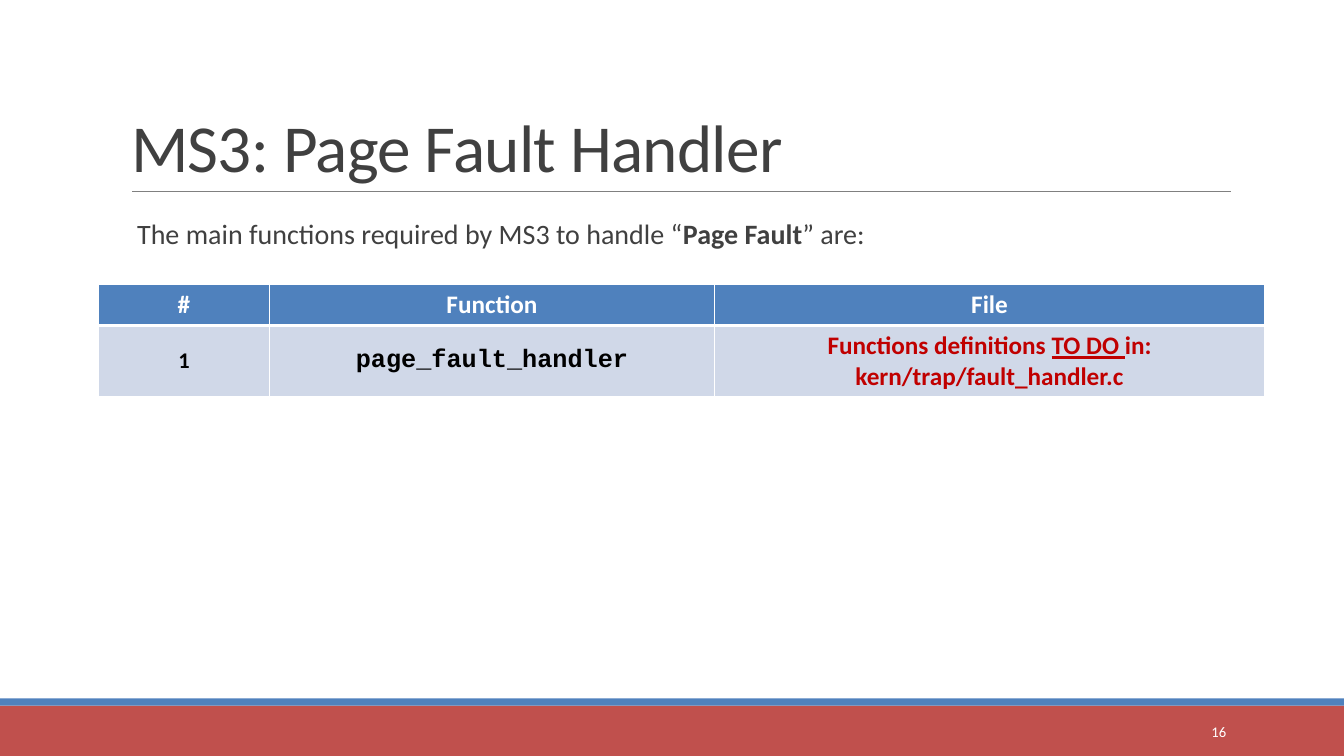
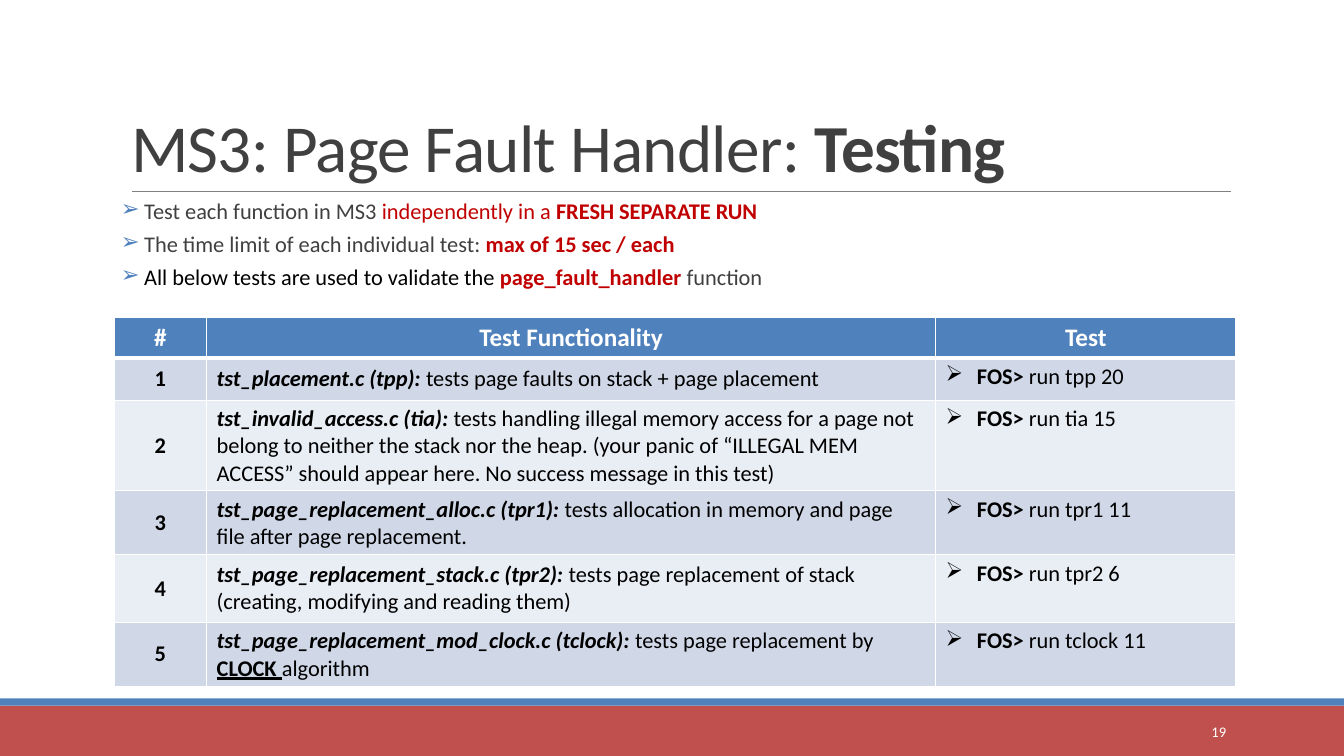
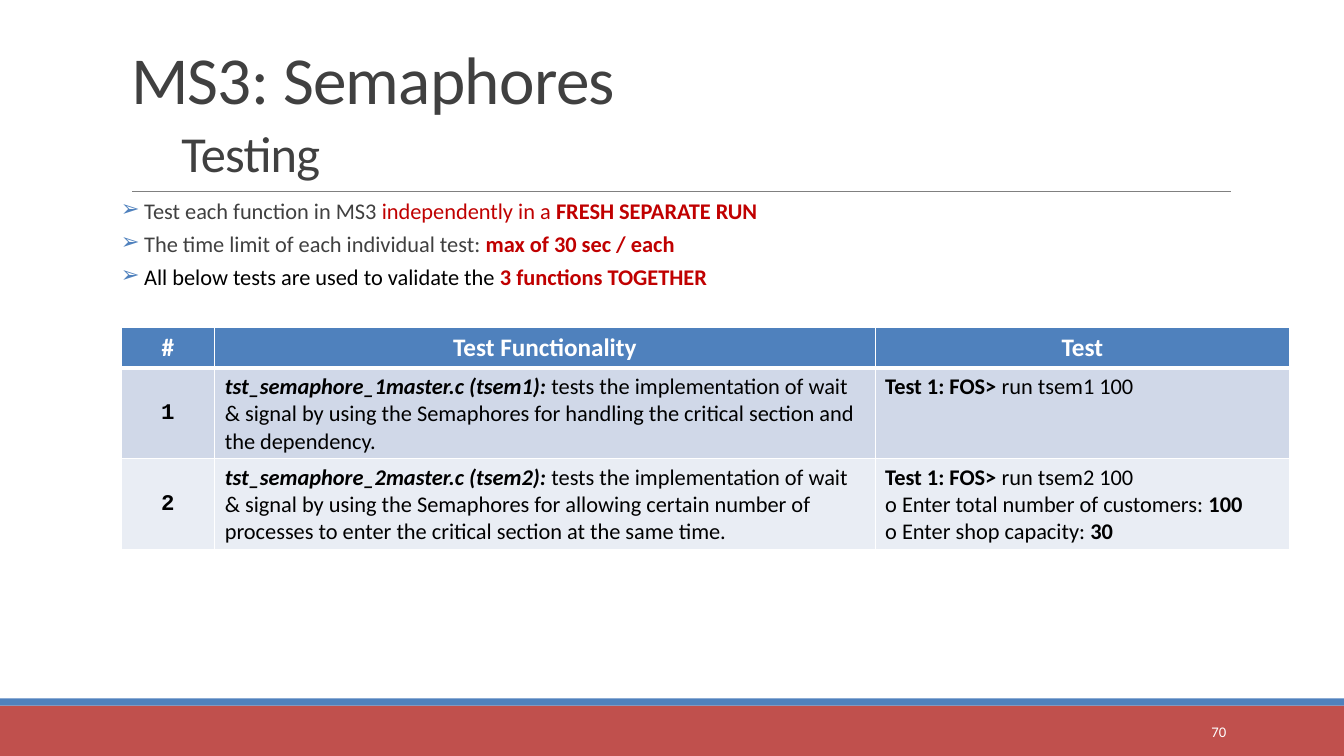
import dataclasses
from typing import NamedTuple, Optional

import pptx
import pptx.dml.color
import pptx.enum.shapes
import pptx.enum.text
import pptx.oxml
import pptx.oxml.ns
import pptx.presentation
import pptx.shapes.base
import pptx.slide
import pptx.table
import pptx.text.text
import pptx.util

Inches = pptx.util.Inches
RGBColor = pptx.dml.color.RGBColor
Align = pptx.enum.text.PP_ALIGN
Anchor = pptx.enum.text.MSO_ANCHOR

# Shared colours and fonts
WHITE = RGBColor(0xFF, 0xFF, 0xFF)
BLACK = RGBColor(0x00, 0x00, 0x00)
INK = RGBColor(0x40, 0x40, 0x40)
GREY = RGBColor(0x80, 0x80, 0x80)
RED = RGBColor(0xC0, 0x00, 0x00)
BRICK = RGBColor(0xC0, 0x50, 0x4D)
BLUE = RGBColor(0x4F, 0x81, 0xBD)
BANDS = (RGBColor(0xD0, 0xD8, 0xE8), RGBColor(0xE9, 0xED, 0xF4))
SANS = "Calibri"
MONO = "Courier New"
ARROW = "➢"
BREAK = "\n"


class Span(NamedTuple):
    text: str
    bold: bool = False
    italic: bool = False
    underline: bool = False
    color: Optional[RGBColor] = None
    size: Optional[float] = None


@dataclasses.dataclass(frozen=True)
class Style:
    size: float
    color: RGBColor = BLACK
    face: str = SANS
    align: Align = Align.LEFT
    line_spacing: float = 1.0
    before: float = 0
    after: float = 0
    left: float = 0
    hang: float = 0
    bullet: Optional[str] = None
    bullet_color: Optional[RGBColor] = None
    tracking: float = 0
    tab: Optional[float] = None


Line = list[Span]


class Cell(NamedTuple):
    lines: list[Line]
    style: Style
    anchor: Anchor = Anchor.MIDDLE


class Grid(NamedTuple):
    left: float
    top: float
    columns: list[float]
    heights: list[float]
    headings: list[str]
    rows: list[list[Cell]]


class Page(NamedTuple):
    number: int
    title: Line
    body: list[Line]
    body_style: Style
    body_at: tuple[float, float]
    grid: Grid
    title_width: float = 11


TITLE = Style(48, INK, line_spacing=0.85, tracking=-0.5, tab=4)
INTRO = Style(20, INK, line_spacing=0.9, before=12, after=2, left=0.1)
RULES = Style(16, INK, line_spacing=0.5, before=12, after=2, left=0.23, hang=0.23,
              bullet=ARROW, bullet_color=BLUE)
NUMBER = Style(10.5, WHITE, align=Align.RIGHT)
HEADING = Style(18, WHITE, align=Align.CENTER)
INDEX = Style(16, align=Align.CENTER)
MONO_INDEX = dataclasses.replace(INDEX, face=MONO)
FUNCTION = Style(18, face=MONO, align=Align.CENTER)
FILE = Style(18, RED, align=Align.CENTER)
PLAIN = Style(16)
COMMAND = Style(16, left=0.31, hang=0.31, bullet=ARROW)


def add_xml(parent, tag: str, **attributes: object):
    """Append a DrawingML element to parent."""
    child = pptx.oxml.parse_xml(f"<a:{tag} {pptx.oxml.ns.nsdecls('a')}/>")
    for name, value in attributes.items():
        child.set(name, str(value))
    parent.append(child)
    return child


def format_paragraph(para: pptx.text.text._Paragraph, style: Style) -> None:
    # Indents, bullet and tab stop
    properties = para._p.get_or_add_pPr()
    properties.set("marL", str(Inches(style.left)))
    properties.set("indent", str(-Inches(style.hang)))
    if style.bullet_color is not None:
        color = add_xml(properties, "buClr")
        add_xml(color, "srgbClr", val=style.bullet_color)
    if style.bullet:
        add_xml(properties, "buChar", char=style.bullet)
    else:
        add_xml(properties, "buNone")
    if style.tab:
        add_xml(add_xml(properties, "tabLst"), "tab", pos=Inches(style.tab), algn="l")
    # Spacing and font
    para.alignment = style.align
    para.line_spacing = style.line_spacing
    para.space_before = pptx.util.Pt(style.before)
    para.space_after = pptx.util.Pt(style.after)
    para.font.name = style.face
    para.font.size = pptx.util.Pt(style.size)
    para.font.color.rgb = style.color
    if style.tracking:
        defaults = properties.find(pptx.oxml.ns.qn("a:defRPr"))
        defaults.set("spc", str(round(style.tracking * 100)))


def write(frame: pptx.text.text.TextFrame, lines: list[Line], style: Style) -> None:
    frame.word_wrap = True
    for position, line in enumerate(lines):
        para = frame.add_paragraph() if position else frame.paragraphs[0]
        format_paragraph(para, style)
        for span in line:
            if span.text == BREAK:
                para.add_line_break()
                continue
            run = para.add_run()
            run.text = span.text
            run.font.bold = span.bold
            run.font.italic = span.italic
            run.font.underline = span.underline
            if span.color is not None:
                run.font.color.rgb = span.color
            if span.size is not None:
                run.font.size = pptx.util.Pt(span.size)


def place(shape: pptx.shapes.base.BaseShape, left: float, top: float,
          width: float, height: float) -> None:
    shape.left, shape.top = Inches(left), Inches(top)
    shape.width, shape.height = Inches(width), Inches(height)


def draw_frame(slide: pptx.slide.Slide, number: int) -> None:
    """Footer bands, title rule and slide number."""
    for top, height, color in ((7, 0.5, BRICK), (6.93, 0.07, BLUE)):
        band = slide.shapes.add_shape(
            pptx.enum.shapes.MSO_SHAPE.RECTANGLE,
            0, Inches(top), Inches(13.33), Inches(height))
        band.shadow.inherit = False
        band.fill.solid()
        band.fill.fore_color.rgb = color
        band.line.fill.background()
    rule = slide.shapes.add_connector(
        pptx.enum.shapes.MSO_CONNECTOR.STRAIGHT,
        Inches(1.31), Inches(1.9), Inches(12.21), Inches(1.9))
    rule.line.color.rgb = GREY
    rule.line.width = pptx.util.Pt(0.5)
    add_xml(rule._element.spPr, "effectLst")
    box = slide.shapes.add_textbox(Inches(10.83), Inches(7.06), Inches(1.43), Inches(0.4))
    box.text_frame.vertical_anchor = Anchor.MIDDLE
    write(box.text_frame, [[Span(str(number))]], NUMBER)


def border_cell(cell: pptx.table._Cell, top: float, bottom: float) -> None:
    properties = cell._tc.get_or_add_tcPr()
    for side, width in (("L", 1), ("R", 1), ("T", top), ("B", bottom)):
        line = add_xml(properties, f"ln{side}", w=pptx.util.Pt(width))
        add_xml(add_xml(line, "solidFill"), "srgbClr", val=WHITE)


def draw_grid(slide: pptx.slide.Slide, grid: Grid) -> None:
    heading = [Cell([[Span(text, bold=True)]], HEADING, Anchor.TOP) for text in grid.headings]
    rows = [heading, *grid.rows]
    table = slide.shapes.add_table(
        len(rows), len(grid.columns), Inches(grid.left), Inches(grid.top),
        Inches(sum(grid.columns)), Inches(sum(grid.heights))).table
    for column, width in zip(table.columns, grid.columns):
        column.width = Inches(width)
    for row, height in zip(table.rows, grid.heights):
        row.height = Inches(height)
    for r, cells in enumerate(rows):
        for c, content in enumerate(cells):
            cell = table.cell(r, c)
            border_cell(cell, 3 if r == 1 else 1, 3 if r == 0 else 1)
            cell.fill.solid()
            cell.fill.fore_color.rgb = BANDS[(r - 1) % 2] if r else BLUE
            cell.vertical_anchor = content.anchor
            write(cell.text_frame, content.lines, content.style)


def draw_page(deck: pptx.presentation.Presentation, page: Page) -> None:
    slide = deck.slides.add_slide(deck.slide_layouts[1])
    draw_frame(slide, page.number)
    # Title
    title = slide.shapes.title
    place(title, 1.2, 0.31, page.title_width, 1.59)
    title.text_frame.auto_size = pptx.enum.text.MSO_AUTO_SIZE.NONE
    title.text_frame.vertical_anchor = Anchor.BOTTOM
    write(title.text_frame, [page.title], TITLE)
    # Body
    body = slide.placeholders[1]
    place(body, *page.body_at, 11, 4.4)
    body.text_frame.auto_size = pptx.enum.text.MSO_AUTO_SIZE.NONE
    body.text_frame.margin_left = body.text_frame.margin_right = 0
    write(body.text_frame, page.body, page.body_style)
    draw_grid(slide, page.grid)


def test_rules(seconds: int, subject: Line) -> list[Line]:
    return [
        [Span("Test each function in MS3 "), Span("independently in a ", color=RED),
         Span("FRESH SEPARATE RUN", bold=True, color=RED)],
        [Span("The time limit of each individual test: "),
         Span(f"max of {seconds} sec / each", bold=True, color=RED)],
        [Span("All below tests are used to validate the ", color=BLACK), *subject],
    ]


def test_row(number: int, name: str, purpose: Line, commands: list[Line],
             index_style: Style, command_style: Style) -> list[Cell]:
    return [
        Cell([[Span(str(number), bold=True)]], index_style),
        Cell([[Span(f"{name}: ", bold=True, italic=True), *purpose]], PLAIN),
        Cell(commands, command_style, Anchor.TOP),
    ]


# Page fault tests: name, purpose, command
FAULT_TESTS = [
    ("tst_placement.c (tpp)",
     [Span("tests page faults on stack + page placement")], "tpp 20"),
    ("tst_invalid_access.c (tia)",
     [Span("tests handling illegal memory access for a page not belong to neither the stack "
           "nor the heap. (your panic of “ILLEGAL MEM ACCESS” should appear here. "
           "No success message in this test)")], "tia 15"),
    ("tst_page_replacement_alloc.c (tpr1)",
     [Span("tests allocation in memory and page file after page replacement.")], "tpr1 11"),
    ("tst_page_replacement_stack.c (tpr2)",
     [Span("tests page replacement of stack (creating, modifying and reading them)")],
     "tpr2 6"),
    ("tst_page_replacement_mod_clock.c (tclock)",
     [Span("tests page replacement by "), Span("CLOCK ", bold=True, underline=True),
      Span("algorithm")], "tclock 11"),
]

# Semaphore tests: purpose, further input lines
SEMAPHORE_TESTS = [
    ("handling the critical section and the dependency.", []),
    ("allowing certain number of processes to enter the critical section at the same time.",
     [[Span("o Enter total number of customers: "), Span("100", bold=True)],
      [Span("o Enter shop capacity: "), Span("30", bold=True)]]),
]

TEST_HEADINGS = ["#", "Test Functionality", "Test"]

PAGES = [
    Page(
        16, [Span("MS3: Page Fault Handler")],
        [[Span("The main functions required by MS3 to handle “"),
          Span("Page Fault", bold=True), Span("” are:")]],
        INTRO, (1.26, 2.14),
        Grid(0.98, 2.82, [1.69, 4.42, 5.45], [0.41, 0.41], ["#", "Function", "File"], [[
            Cell([[Span("1", bold=True)]], INDEX),
            Cell([[Span("page_fault_handler", bold=True)]], FUNCTION),
            Cell([[Span("Functions definitions ", bold=True),
                   Span("TO DO ", bold=True, underline=True),
                   Span("in: kern/trap/fault_handler.c", bold=True)]], FILE),
        ]]),
        title_width=12.13),
    Page(
        19, [Span("MS3: Page Fault Handler: "), Span("Testing", bold=True)],
        test_rules(15, [Span("page_fault_handler ", bold=True, color=RED), Span("function")]),
        RULES, (1.2, 2.02),
        Grid(1.13, 3.15, [0.92, 7.23, 2.98], [0.39, 0.42, 0.61, 0.61, 0.67, 0.61],
             TEST_HEADINGS,
             [test_row(number, name, purpose,
                       [[Span("FOS>", bold=True), Span(f" run {command}")]], INDEX, COMMAND)
              for number, (name, purpose, command) in enumerate(FAULT_TESTS, 1)])),
    Page(
        70, [Span("MS3: Semaphores"), Span(BREAK), Span("\t"), Span("Testing", size=36)],
        test_rules(30, [Span("3 functions TOGETHER", bold=True, color=RED)]),
        RULES, (1.2, 2.02),
        Grid(1.2, 3.25, [0.93, 6.55, 4.11], [0.39, 0.42, 0.61], TEST_HEADINGS,
             [test_row(number, f"tst_semaphore_{number}master.c (tsem{number})",
                       [Span("tests the implementation of wait & signal by using the "
                             f"Semaphores for {purpose}")],
                       [[Span("Test 1: FOS>", bold=True), Span(f" run tsem{number} 100")],
                        *inputs], MONO_INDEX, PLAIN)
              for number, (purpose, inputs) in enumerate(SEMAPHORE_TESTS, 1)])),
]


def main() -> None:
    deck = pptx.Presentation()
    deck.slide_width, deck.slide_height = Inches(13.33), Inches(7.5)
    for page in PAGES:
        draw_page(deck, page)
    deck.save("out.pptx")


if __name__ == "__main__":
    main()
